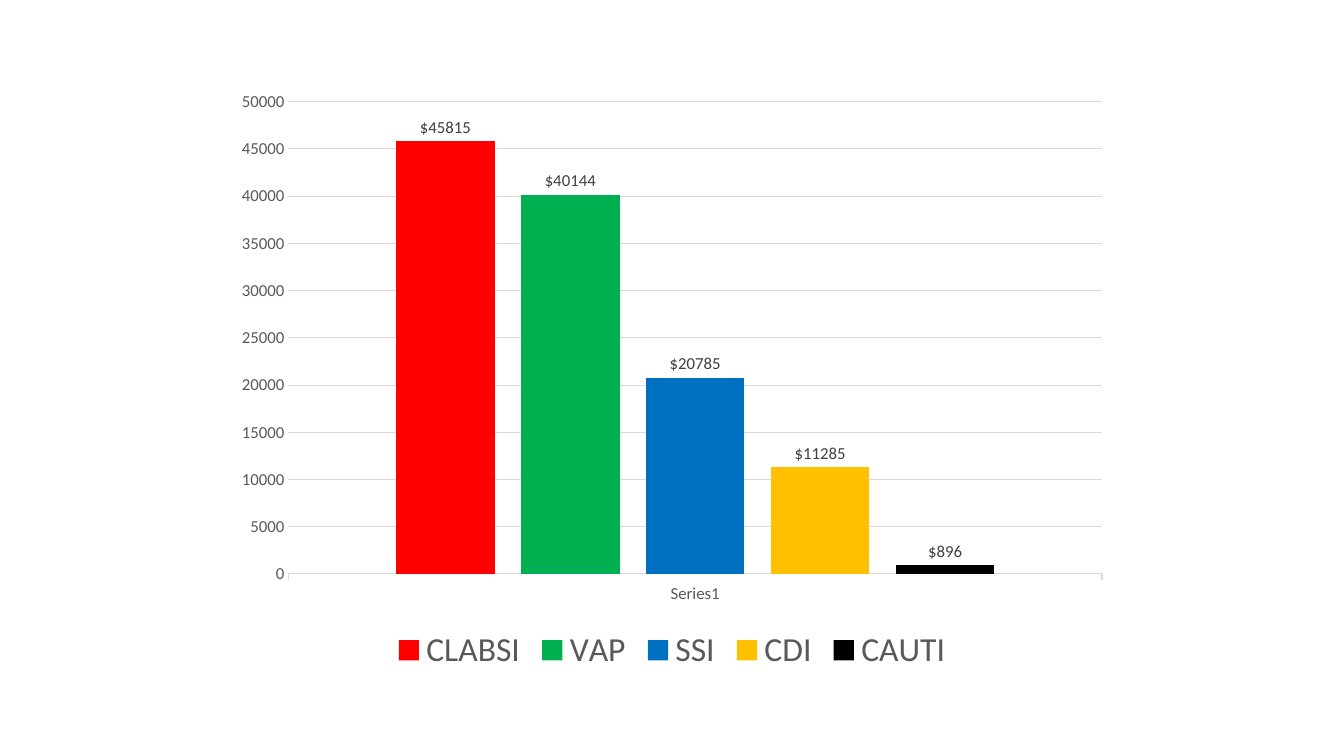
from dataclasses import dataclass

from pptx import Presentation
from pptx.chart.data import CategoryChartData
from pptx.dml.color import RGBColor
from pptx.enum.chart import XL_CHART_TYPE, XL_LABEL_POSITION, XL_LEGEND_POSITION, XL_TICK_MARK
from pptx.util import Pt

COLUMNS = XL_CHART_TYPE.COLUMN_CLUSTERED
OUTSIDE_END = XL_LABEL_POSITION.OUTSIDE_END
BOTTOM = XL_LEGEND_POSITION.BOTTOM
TICK_OUTSIDE = XL_TICK_MARK.OUTSIDE
TICK_NONE = XL_TICK_MARK.NONE

COLORS = {
    "red": "FF0000",
    "green": "00B050",
    "blue": "0070C0",
    "amber": "FFC000",
    "black": "000000",
    "axis_text": "595959",
    "label_text": "404040",
    "grid": "D9D9D9",
}
FONT_NAME = "Calibri"


@dataclass(frozen=True)
class Infection:
    name: str
    cost: int
    color: str


INFECTIONS = [
    Infection("CLABSI", 45815, "red"),
    Infection("VAP", 40144, "green"),
    Infection("SSI", 20785, "blue"),
    Infection("CDI", 11285, "amber"),
    Infection("CAUTI", 896, "black"),
]


def set_attributes(target, values: dict) -> None:
    for name, value in values.items():
        setattr(target, name, value)


def format_font(font, size: float, color: str) -> None:
    set_attributes(font, {"name": FONT_NAME, "size": Pt(size), "bold": False})
    font.color.rgb = RGBColor.from_string(COLORS[color])


def format_line(line, color: str) -> None:
    line.color.rgb = RGBColor.from_string(COLORS[color])
    line.width = Pt(0.75)


def format_series(series, infection: Infection) -> None:
    series.invert_if_negative = False
    series.format.fill.solid()
    series.format.fill.fore_color.rgb = RGBColor.from_string(COLORS[infection.color])
    labels = series.data_labels
    set_attributes(labels, {
        "show_value": True,
        "position": OUTSIDE_END,
        "number_format": '"$"0',
        "number_format_is_linked": False,
    })
    format_font(labels.font, 12, "label_text")


def add_cost_chart(slide) -> None:
    data = CategoryChartData(number_format="0")
    data.categories = ["Series1"]
    for infection in INFECTIONS:
        data.add_series(infection.name, [infection.cost])
    chart = slide.shapes.add_chart(COLUMNS, Pt(160), Pt(57), Pt(640), Pt(427), data).chart
    set_attributes(chart, {"has_title": False, "has_legend": True})
    format_font(chart.font, 10, "black")

    # Columns
    plot = chart.plots[0]
    set_attributes(plot, {"gap_width": 219, "overlap": -27, "vary_by_categories": False})
    for series, infection in zip(plot.series, INFECTIONS):
        format_series(series, infection)

    # Axes and gridlines
    category_axis, value_axis = chart.category_axis, chart.value_axis
    for axis in (category_axis, value_axis):
        format_font(axis.tick_labels.font, 12, "axis_text")
    category_axis.major_tick_mark = TICK_OUTSIDE
    format_line(category_axis.format.line, "grid")
    set_attributes(value_axis, {
        "minimum_scale": 0,
        "maximum_scale": 50000,
        "major_unit": 5000,
        "major_tick_mark": TICK_NONE,
        "has_major_gridlines": True,
    })
    value_axis.format.line.fill.background()
    format_line(value_axis.major_gridlines.format.line, "grid")

    # Legend
    set_attributes(chart.legend, {"position": BOTTOM, "include_in_layout": False})
    format_font(chart.legend.font, 24, "axis_text")


def main() -> None:
    presentation = Presentation()
    set_attributes(presentation, {"slide_width": Pt(960), "slide_height": Pt(540)})
    blank_layout = presentation.slide_layouts[6]
    add_cost_chart(presentation.slides.add_slide(blank_layout))
    presentation.save("out.pptx")


if __name__ == "__main__":
    main()
